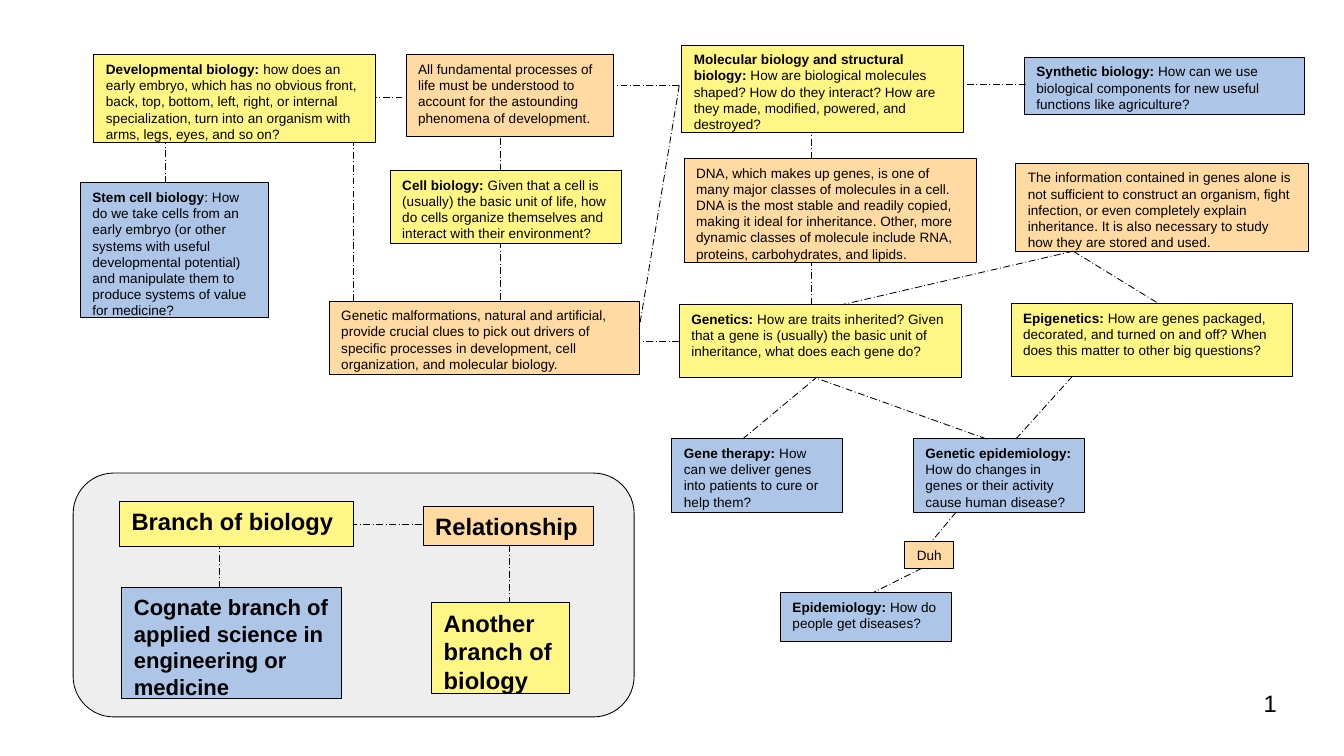
"""Builds a one-slide map of the branches of biology and how they relate."""
from dataclasses import dataclass

from lxml.etree import SubElement
from pptx import Presentation
from pptx.dml.color import RGBColor
from pptx.enum.dml import MSO_LINE
from pptx.enum.shapes import MSO_CONNECTOR, MSO_SHAPE
from pptx.enum.text import MSO_ANCHOR, PP_ALIGN
from pptx.oxml.ns import qn
from pptx.util import Inches, Pt


@dataclass(frozen=True)
class Theme:
    font: str = "Arial"
    ink: RGBColor = RGBColor(0x00, 0x00, 0x00)
    legend: RGBColor = RGBColor(0xEE, 0xEE, 0xEE)
    branch: RGBColor = RGBColor(0xFF, 0xF6, 0x85)
    applied: RGBColor = RGBColor(0xAD, 0xC5, 0xE7)
    relation: RGBColor = RGBColor(0xFF, 0xDA, 0xA2)
    body: Pt = Pt(8)
    legend_small: Pt = Pt(13)
    large: Pt = Pt(14)
    hairline: Pt = Pt(0.5)


theme = Theme()
presentation = Presentation()
presentation.slide_width = Inches(11.02)
presentation.slide_height = Inches(6.2)
slide = presentation.slides.add_slide(presentation.slide_layouts[6])


def add_panel(preset, bounds, fill):
    shape = slide.shapes.add_shape(preset, *map(Inches, bounds))
    shape.shadow.inherit = False
    shape.fill.solid()
    shape.fill.fore_color.rgb = fill
    shape.line.color.rgb = theme.ink
    shape.line.width = theme.hairline
    return shape


def style_paragraph(paragraph, size, alignment):
    paragraph.alignment = alignment
    paragraph.font.name = theme.font
    paragraph.font.size = size
    paragraph.font.color.rgb = theme.ink


add_panel(MSO_SHAPE.ROUNDED_RECTANGLE, (0.6, 3.88, 4.6, 2), theme.legend)

boxes = [
    ((0.77, 0.45, 2.31, 0.72), theme.branch, theme.body, "Developmental biology:",
     " how does an early embryo, which has no obvious front, back, top, bottom, left, right, "
     "or internal specialization, turn into an organism with arms, legs, eyes, and so on?"),
    ((3.2, 1.4, 1.9, 0.6), theme.branch, theme.body, "Cell biology:",
     " Given that a cell is (usually) the basic unit of life, how do cells organize "
     "themselves and interact with their environment?"),
    ((5.59, 0.37, 2.31, 0.72), theme.branch, theme.body,
     "Molecular biology and structural biology:",
     " How are biological molecules shaped? How do they interact? How are they made, "
     "modified, powered, and destroyed?"),
    ((5.57, 2.5, 2.31, 0.6), theme.branch, theme.body, "Genetics:",
     " How are traits inherited? Given that a gene is (usually) the basic unit of "
     "inheritance, what does each gene do?"),
    ((8.29, 2.49, 2.31, 0.6), theme.branch, theme.body, "Epigenetics:",
     " How are genes packaged, decorated, and turned on and off? When does this matter to "
     "other big questions?"),
    ((0.66, 1.5, 1.54, 1.1), theme.applied, theme.body, "Stem cell biology",
     ": How do we take cells from an early embryo (or other systems with useful "
     "developmental potential) and manipulate them to produce systems of value for medicine?"),
    ((8.4, 0.47, 2.3, 0.47), theme.applied, theme.body, "Synthetic biology:",
     " How can we use biological components for new useful functions like agriculture?"),
    ((5.51, 3.6, 1.4, 0.6), theme.applied, theme.body, "Gene therapy:",
     " How can we deliver genes into patients to cure or help them?"),
    ((7.49, 3.6, 1.4, 0.6), theme.applied, theme.body, "Genetic epidemiology:",
     " How do changes in genes or their activity cause human disease?"),
    ((6.4, 4.86, 1.4, 0.4), theme.applied, theme.body, "Epidemiology:",
     " How do people get diseases?"),
    ((3.33, 0.45, 1.7, 0.67), theme.relation, theme.body, "",
     "All fundamental processes of life must be understood to account for the astounding "
     "phenomena of development."),
    ((2.7, 2.47, 2.54, 0.6), theme.relation, theme.body, "",
     "Genetic malformations, natural and artificial, provide crucial clues to pick out "
     "drivers of specific processes in development, cell organization, and molecular biology."),
    ((5.61, 1.3, 2.4, 0.85), theme.relation, theme.body, "",
     "DNA, which makes up genes, is one of many major classes of molecules in a cell. DNA is "
     "the most stable and readily copied, making it ideal for inheritance. Other, more "
     "dynamic classes of molecule include RNA, proteins, carbohydrates, and lipids."),
    ((8.33, 1.34, 2.4, 0.72), theme.relation, theme.body, "",
     "The information contained in genes alone is not sufficient to construct an organism, "
     "fight infection, or even completely explain inheritance. It is also necessary to study "
     "how they are stored and used."),
    ((7.42, 4.44, 0.4, 0.22), theme.relation, theme.body, "", "Duh"),
    ((0.98, 4.11, 1.92, 0.37), theme.branch, theme.large, "Branch of biology", ""),
    ((3.47, 4.15, 1.4, 0.32), theme.relation, theme.large, "Relationship", ""),
    ((1, 4.82, 1.8, 0.91), theme.applied, theme.legend_small,
     "Cognate branch of applied science in engineering or medicine", ""),
    ((3.54, 4.94, 1.13, 0.75), theme.branch, theme.large, "Another branch of biology", ""),
]
for bounds, fill, size, heading, question in boxes:
    frame = add_panel(MSO_SHAPE.RECTANGLE, bounds, fill).text_frame
    frame.word_wrap = " " in heading + question
    frame.vertical_anchor = MSO_ANCHOR.TOP
    paragraph = frame.paragraphs[0]
    style_paragraph(paragraph, size, PP_ALIGN.LEFT)
    for text, bold in ((heading, True), (question, False)):
        if text:
            run = paragraph.add_run()
            run.text = text
            run.font.bold = bold

links = [
    ((3.3, 0.8), (3.08, 0.8)),
    ((1.36, 1.5), (1.36, 1.17)),
    ((2.9, 2.47), (2.9, 1.17)),
    ((4.1, 1.4), (4.1, 1.12)),
    ((4.1, 2.46), (4.1, 2)),
    ((5.57, 0.7), (5.03, 0.7)),
    ((5.57, 0.7), (5.24, 2.7)),
    ((5.57, 2.8), (5.24, 2.8)),
    ((8.41, 0.69), (7.9, 0.69)),
    ((6.65, 1.3), (6.65, 1.1)),
    ((6.65, 2.5), (6.65, 2.16)),
    ((8.8, 2.06), (6.9, 2.5)),
    ((8.8, 2.06), (9.5, 2.49)),
    ((6.09, 3.6), (6.69, 3.1)),
    ((8.09, 3.6), (6.69, 3.1)),
    ((8.33, 3.6), (8.79, 3.09)),
    ((7.84, 4.2), (7.64, 4.44)),
    ((7.56, 4.66), (7.16, 4.86)),
    ((3.46, 4.3), (2.9, 4.3)),
    ((1.8, 4.82), (1.8, 4.48)),
    ((4.18, 4.47), (4.18, 4.94)),
]
for start, end in links:
    connector = slide.shapes.add_connector(MSO_CONNECTOR.STRAIGHT, *map(Inches, start + end))
    connector.line.color.rgb = theme.ink
    connector.line.width = theme.hairline
    connector.line.dash_style = MSO_LINE.LONG_DASH_DOT
    SubElement(connector.element.spPr, qn("a:effectLst"))

number_box = slide.shapes.add_textbox(*map(Inches, (7.9, 5.65, 2.57, 0.43)))
frame = number_box.text_frame
frame.word_wrap = True
frame.margin_left = frame.margin_top = frame.margin_right = frame.margin_bottom = 0
paragraph = frame.paragraphs[0]
style_paragraph(paragraph, theme.large, PP_ALIGN.RIGHT)
paragraph.add_run().text = "1"

presentation.save("out.pptx")
